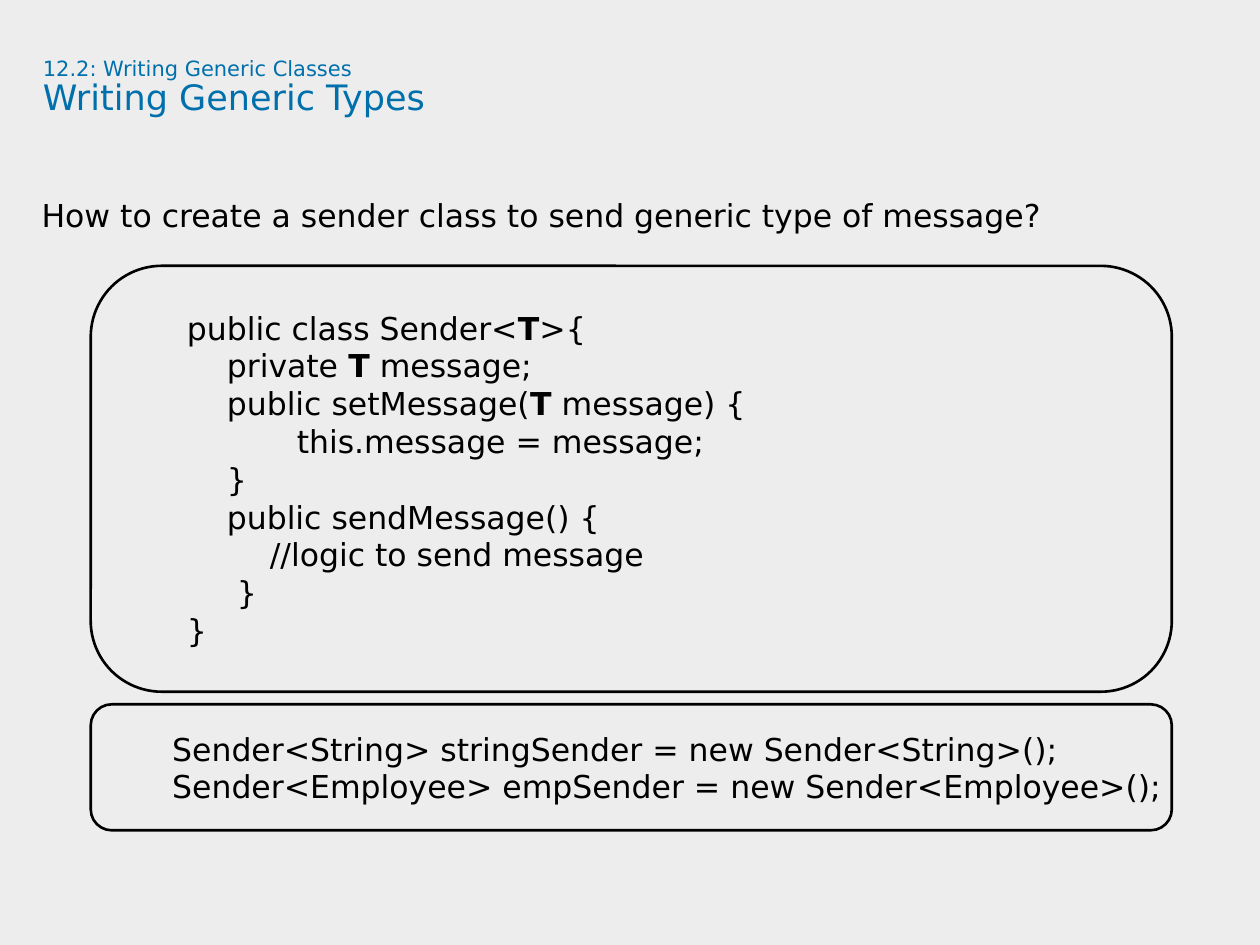
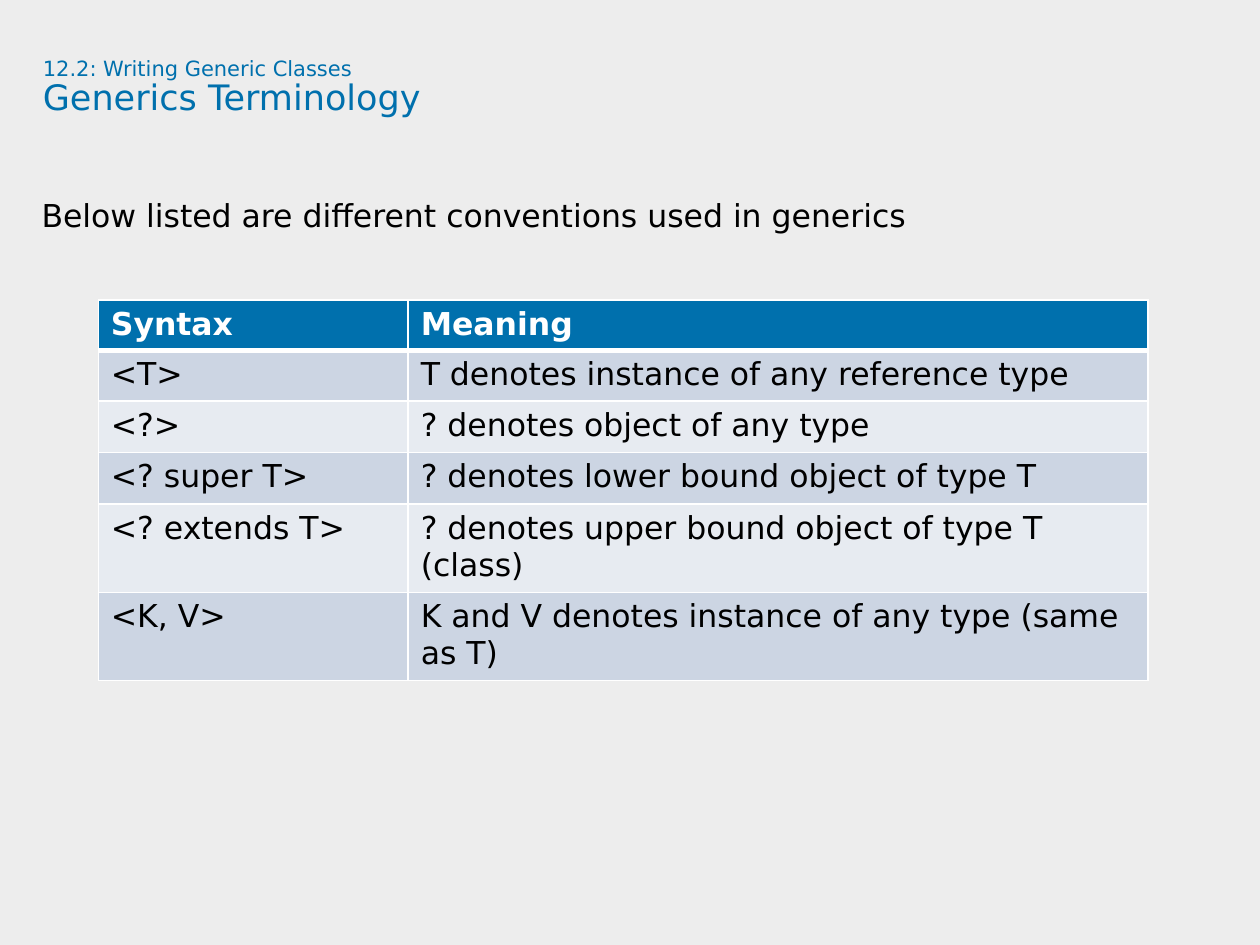
from dataclasses import dataclass

from lxml import etree
from pptx import Presentation
from pptx import util as u
from pptx.dml.color import RGBColor
from pptx.enum import shapes, text
from pptx.oxml import ns

PX = 9144  # EMU per px, 100 px to the inch
FONT = "DejaVu Sans"
BODY_SIZE = 18

BLACK = RGBColor(0x00, 0x00, 0x00)
WHITE = RGBColor(0xFF, 0xFF, 0xFF)
BLUE = RGBColor(0x00, 0x70, 0xAD)
PAGE_GRAY = RGBColor(0xED, 0xED, 0xED)
ROW_FILLS = (RGBColor(0xCC, 0xD5, 0xE3), RGBColor(0xE7, 0xEB, 0xF1))

SECTION = "12.2: Writing Generic Classes"
BOLD_MARK = "*"


@dataclass(frozen=True)
class Box:
    left: int
    top: int
    width: int
    height: int

    def emu(self) -> list[int]:
        return [side * PX for side in (self.left, self.top, self.width, self.height)]


@dataclass(frozen=True)
class CodePanel:
    box: Box
    lines: tuple[str, ...]


@dataclass(frozen=True)
class TermRow:
    syntax: str
    meaning: str
    height: int


TITLE_BOX = Box(34, 46, 909, 94)
BODY_BOX = Box(33, 163, 967, 508)
CODE_INDENT = 50

CODE_PANELS = (
    CodePanel(Box(72, 211, 858, 338), (
        "public class Sender<*T*>{",
        "    private *T* message;",
        "    public setMessage(*T* message) {",
        "           this.message = message;",
        "    }",
        "    public sendMessage() {",
        "\t  //logic to send message",
        "     }",
        "}",
    )),
    CodePanel(Box(72, 559, 858, 100), (
        "Sender<String> stringSender = new Sender<String>();",
        "Sender<Employee> empSender = new Sender<Employee>();",
    )),
)

TABLE_LEFT, TABLE_TOP = 78, 238
COLUMN_WIDTHS = (246, 587)
TERM_ROWS = (
    TermRow("Syntax", "Meaning", 39),
    TermRow("<T>", "T denotes instance of any reference type", 39),
    TermRow("<?>", "? denotes object of any type", 41),
    TermRow("<? super T>", "? denotes lower bound object of type T", 41),
    TermRow("<? extends T>", "? denotes upper bound object of type T (class)", 68),
    TermRow("<K, V>", "K and V denotes instance of any type (same as T)", 68),
)


def style_runs(paragraph, size: int, color: RGBColor, bold: bool = False) -> None:
    for run in paragraph.runs:
        run.font.name = FONT
        run.font.size = u.Pt(size)
        run.font.color.rgb = color
        run.font.bold = bold


def add_text_box(slide, box: Box, content: str):
    """Add a wrapping text box without insets and return its text frame."""
    frame = slide.shapes.add_textbox(*box.emu()).text_frame
    frame.word_wrap = True
    frame.margin_left = frame.margin_top = frame.margin_right = frame.margin_bottom = 0
    frame.text = content
    return frame


def add_slide(presentation, title: str, lead: str):
    """Add a slide with the section line, the title and a lead sentence."""
    slide = presentation.slides.add_slide(presentation.slide_layouts[6])
    heading = add_text_box(slide, TITLE_BOX, f"{SECTION}\n{title}")
    for paragraph, size in zip(heading.paragraphs, (12, 20)):
        paragraph.line_spacing = 0.9
        style_runs(paragraph, size, BLUE)

    paragraph = add_text_box(slide, BODY_BOX, lead).paragraphs[0]
    paragraph.line_spacing = u.Pt(16.5)
    paragraph.space_after = u.Pt(4.5)
    style_runs(paragraph, BODY_SIZE, BLACK)
    return slide


def fill_code_line(paragraph, line: str) -> None:
    """Write one line of code; the parts between marks are bold."""
    paragraph.alignment = text.PP_ALIGN.LEFT
    paragraph.level = 1
    properties = paragraph._p.get_or_add_pPr()
    properties.set("marL", str(CODE_INDENT * PX))
    properties.set("indent", "0")
    parts = line.split(BOLD_MARK)
    for part in parts:
        paragraph.add_run().text = part
    style_runs(paragraph, BODY_SIZE, BLACK)
    for run in paragraph.runs[1::2]:
        run.font.bold = True


def add_code_panel(slide, panel: CodePanel) -> None:
    shape = slide.shapes.add_shape(shapes.MSO_SHAPE.ROUNDED_RECTANGLE, *panel.box.emu())
    shape.shadow.inherit = False
    shape.fill.background()
    shape.line.color.rgb = BLACK
    shape.line.width = u.Pt(1.5)
    frame = shape.text_frame
    frame.word_wrap = False
    frame.vertical_anchor = text.MSO_ANCHOR.MIDDLE
    for index, line in enumerate(panel.lines):
        paragraph = frame.add_paragraph() if index else frame.paragraphs[0]
        fill_code_line(paragraph, line)


def set_cell_borders(cell, top: int, bottom: int) -> None:
    """Draw white borders, with top and bottom widths in points."""
    properties = cell._tc.get_or_add_tcPr()
    for side, width in (("L", 1), ("R", 1), ("T", top), ("B", bottom)):
        line = etree.SubElement(properties, ns.qn(f"a:ln{side}"), w=str(u.Pt(width)))
        fill = etree.SubElement(line, ns.qn("a:solidFill"))
        etree.SubElement(fill, ns.qn("a:srgbClr"), val=str(WHITE))


def add_term_table(slide) -> None:
    box = Box(TABLE_LEFT, TABLE_TOP, sum(COLUMN_WIDTHS), sum(row.height for row in TERM_ROWS))
    table = slide.shapes.add_table(len(TERM_ROWS), len(COLUMN_WIDTHS), *box.emu()).table
    for column, width in zip(table.columns, COLUMN_WIDTHS):
        column.width = width * PX
    for index, term in enumerate(TERM_ROWS):
        is_header = index == 0
        row = table.rows[index]
        row.height = term.height * PX
        for cell, content in zip(row.cells, (term.syntax, term.meaning)):
            set_cell_borders(cell, top=3 if index == 1 else 1, bottom=3 if is_header else 1)
            cell.fill.solid()
            cell.fill.fore_color.rgb = BLUE if is_header else ROW_FILLS[(index - 1) % 2]
            cell.text_frame.text = content
            style_runs(cell.text_frame.paragraphs[0], BODY_SIZE,
                       WHITE if is_header else BLACK, bold=is_header)


def main() -> None:
    presentation = Presentation()
    presentation.slide_width = 1000 * PX
    presentation.slide_height = 750 * PX
    background = presentation.slide_master.background.fill
    background.solid()
    background.fore_color.rgb = PAGE_GRAY

    writing_slide = add_slide(
        presentation, "Writing Generic Types",
        "How to create a sender class to send generic type of message?")
    for panel in CODE_PANELS:
        add_code_panel(writing_slide, panel)

    terminology_slide = add_slide(
        presentation, "Generics Terminology",
        "Below listed are different conventions used in generics")
    add_term_table(terminology_slide)

    presentation.save("out.pptx")


if __name__ == "__main__":
    main()
